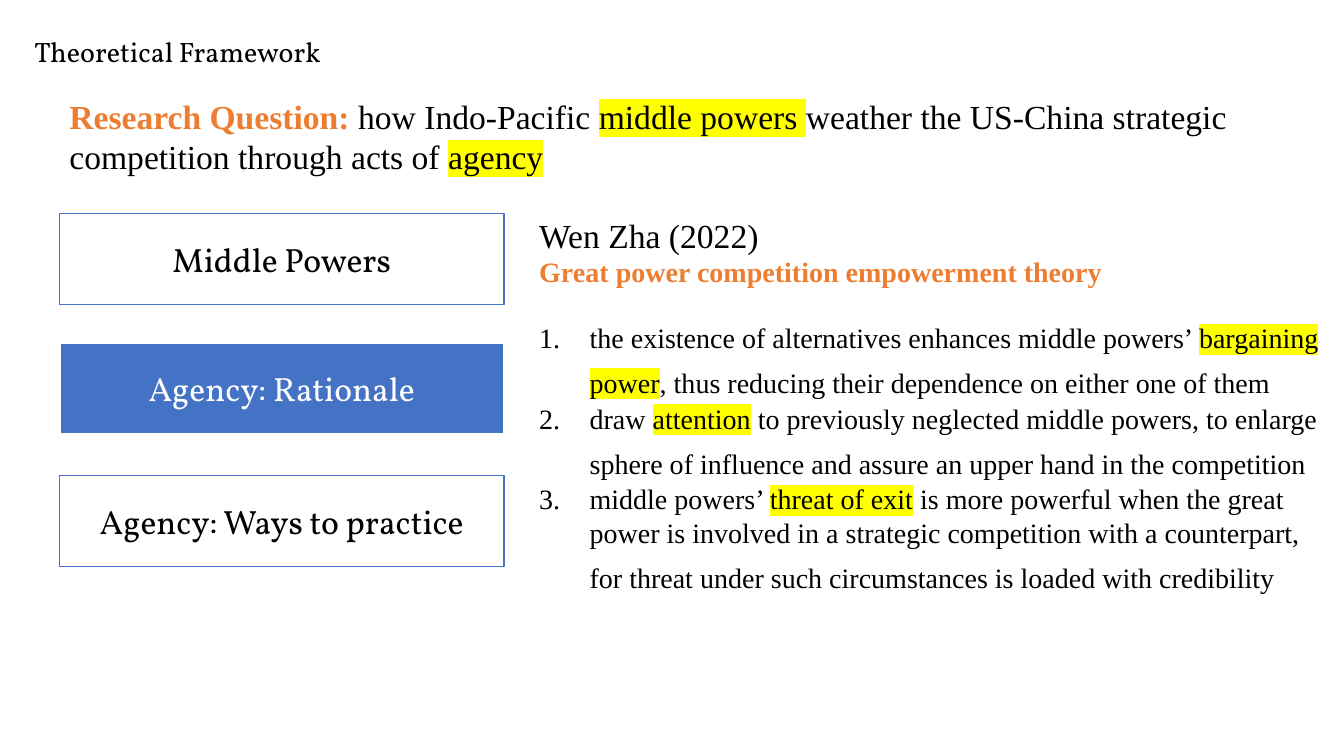
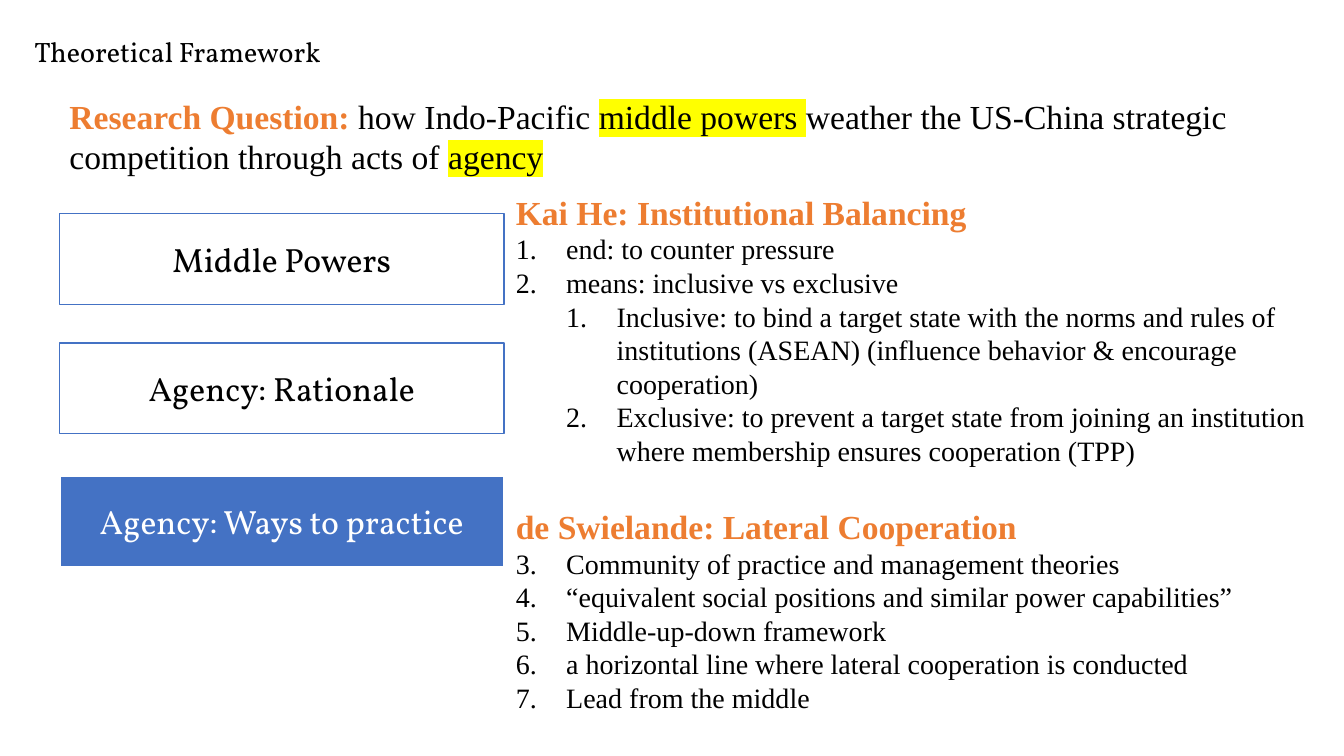
from lxml import etree
from pptx import Presentation
from pptx.dml.color import RGBColor
from pptx.enum.shapes import MSO_SHAPE
from pptx.enum.text import MSO_ANCHOR, MSO_AUTO_SIZE, PP_ALIGN
from pptx.oxml.ns import qn
from pptx.util import Cm, Pt

RECT = MSO_SHAPE.RECTANGLE
TOP, MIDDLE = MSO_ANCHOR.TOP, MSO_ANCHOR.MIDDLE
LEFT, CENTER = PP_ALIGN.LEFT, PP_ALIGN.CENTER
NO_FIT = MSO_AUTO_SIZE.NONE

HEX = {"ink": "000000", "paper": "FFFFFF", "blue": "4472C4",
       "orange": "ED7D31", "yellow": "FFFF00"}
SERIF, DISPLAY = "Times New Roman", "Vollkorn"
TITLE_ONLY = 5
INDENT = Cm(1.27)

QUESTION = (" how Indo-Pacific |middle powers |weather the US-China strategic "
            "competition through acts of |agency|")
# Label and top edge in cm
TOPICS = [("Middle Powers", 5.38), ("Agency: Rationale", 8.64),
          ("Agency: Ways to practice", 11.99)]
EFFECTS = [
    "the existence of alternatives enhances middle powers’ |bargaining power|"
    ", thus reducing their dependence on either one of them",
    "draw |attention| to previously neglected middle powers, to enlarge sphere "
    "of influence and assure an upper hand in the competition",
    "middle powers’ |threat of exit| is more powerful when the great power is "
    "involved in a strategic competition with a counterpart, for threat under "
    "such circumstances is loaded with credibility",
]
BALANCE = [
    ("end: to counter pressure", 0),
    ("means: inclusive vs exclusive", 0),
    ("Inclusive: to bind a target state with the norms and rules of "
     "institutions (ASEAN) (influence behavior & encourage cooperation)", 1),
    ("Exclusive: to prevent a target state from joining an institution where "
     "membership ensures cooperation (TPP)", 1),
]
LATERAL = [
    "Community of practice and management theories",
    "“equivalent social positions and similar power capabilities”",
    "Middle-up-down framework",
    "a horizontal line where lateral cooperation is conducted",
    "Lead from the middle",
]


def color(name):
    return RGBColor.from_string(HEX[name])


def add_run(par, text, size, tone="ink", bold=False, face=SERIF, mark=False):
    run = par.add_run()
    run.text = text
    font = run.font
    font.size, font.bold, font.name = Pt(size), bold, face
    font.color.rgb = color(tone)
    if mark:
        light = etree.Element(qn("a:highlight"))
        etree.SubElement(light, qn("a:srgbClr"), val=HEX["yellow"])
        run._r.get_or_add_rPr().find(qn("a:solidFill")).addnext(light)


def add_marked(par, text, size):
    """Add text run by run; the parts between bars are highlighted."""
    for i, part in enumerate(text.split("|")):
        if part:
            add_run(par, part, size, mark=i % 2 == 1)


def add_box(slide, left, top, width, height):
    box = slide.shapes.add_textbox(Cm(left), Cm(top), Cm(width), Cm(height))
    box.text_frame.word_wrap = True
    return box.text_frame


def add_head(par, text, size=24, tone="orange", bold=True):
    add_run(par, text, size, tone, bold)


def add_item(frame, text, level=0, start=1):
    """Add a numbered paragraph; a list's items share one start number."""
    par = frame.add_paragraph()
    par.level = level
    props = par._p.get_or_add_pPr()
    props.set("marL", str(INDENT * (level + 1)))
    props.set("indent", str(-INDENT))
    etree.SubElement(props, qn("a:buFont"), typeface="+mj-lt")
    num = etree.SubElement(props, qn("a:buAutoNum"), type="arabicPeriod")
    if start > 1:
        num.set("startAt", str(start))
    add_marked(par, text, 20)
    return par


def add_title(slide, text):
    title = slide.shapes.title
    title.left, title.top = Cm(0.61), Cm(0.74)
    title.width, title.height = Cm(8.53), Cm(1.12)
    frame = title.text_frame
    frame.word_wrap, frame.auto_size = True, NO_FIT
    frame.vertical_anchor = TOP
    par = frame.paragraphs[0]
    par.alignment = LEFT
    add_run(par, text, 20, face=DISPLAY)


def add_topic(slide, label, top, active):
    box = slide.shapes.add_shape(RECT, Cm(1.5), Cm(top), Cm(11.2), Cm(2.29))
    box.shadow.inherit = False
    fill, edge, tone, width = (("blue", "paper", "paper", 1.5) if active
                               else ("paper", "blue", "ink", 1))
    box.fill.solid()
    box.fill.fore_color.rgb = color(fill)
    box.line.color.rgb = color(edge)
    box.line.width = Pt(width)
    frame = box.text_frame
    frame.word_wrap, frame.vertical_anchor = True, MIDDLE
    par = frame.paragraphs[0]
    par.alignment = CENTER
    add_run(par, label, 24, tone, face=DISPLAY)


def add_frame(deck, active):
    """Add a slide with title, question and topics, one of them active."""
    slide = deck.slides.add_slide(deck.slide_layouts[TITLE_ONLY])
    add_title(slide, "Theoretical Framework")
    par = add_box(slide, 1.5, 2.29, 30.86, 2.31).paragraphs[0]
    add_head(par, "Research Question:")
    add_marked(par, QUESTION, 24)
    for i, (label, top) in enumerate(TOPICS):
        add_topic(slide, label, top, i == active)
    return slide


def add_reason(deck):
    frame = add_box(add_frame(deck, 1), 13.34, 5.28, 20.22, 12.57)
    add_head(frame.paragraphs[0], "Wen Zha (2022)", tone="ink", bold=False)
    add_head(frame.add_paragraph(),
             "Great power competition empowerment theory", 20)
    for i, text in enumerate(EFFECTS):
        par = add_item(frame, text)
        add_run(par, " ", 28)  # opens up the item's last line
        if i == 0:
            par.space_before = Pt(23)


def add_ways(deck):
    frame = add_box(add_frame(deck, 2), 12.75, 4.7, 21.12, 13.59)
    add_head(frame.paragraphs[0], "Kai He: Institutional Balancing")
    for text, level in BALANCE:
        add_item(frame, text, level)
    head = frame.add_paragraph()
    head.space_before = Pt(27.6)
    add_head(head, "de Swielande: Lateral Cooperation")
    for text in LATERAL:
        add_item(frame, text, start=3)


def main():
    deck = Presentation()
    deck.slide_width, deck.slide_height = Cm(33.87), Cm(19.05)
    add_reason(deck)
    add_ways(deck)
    deck.save("out.pptx")


if __name__ == "__main__":
    main()
